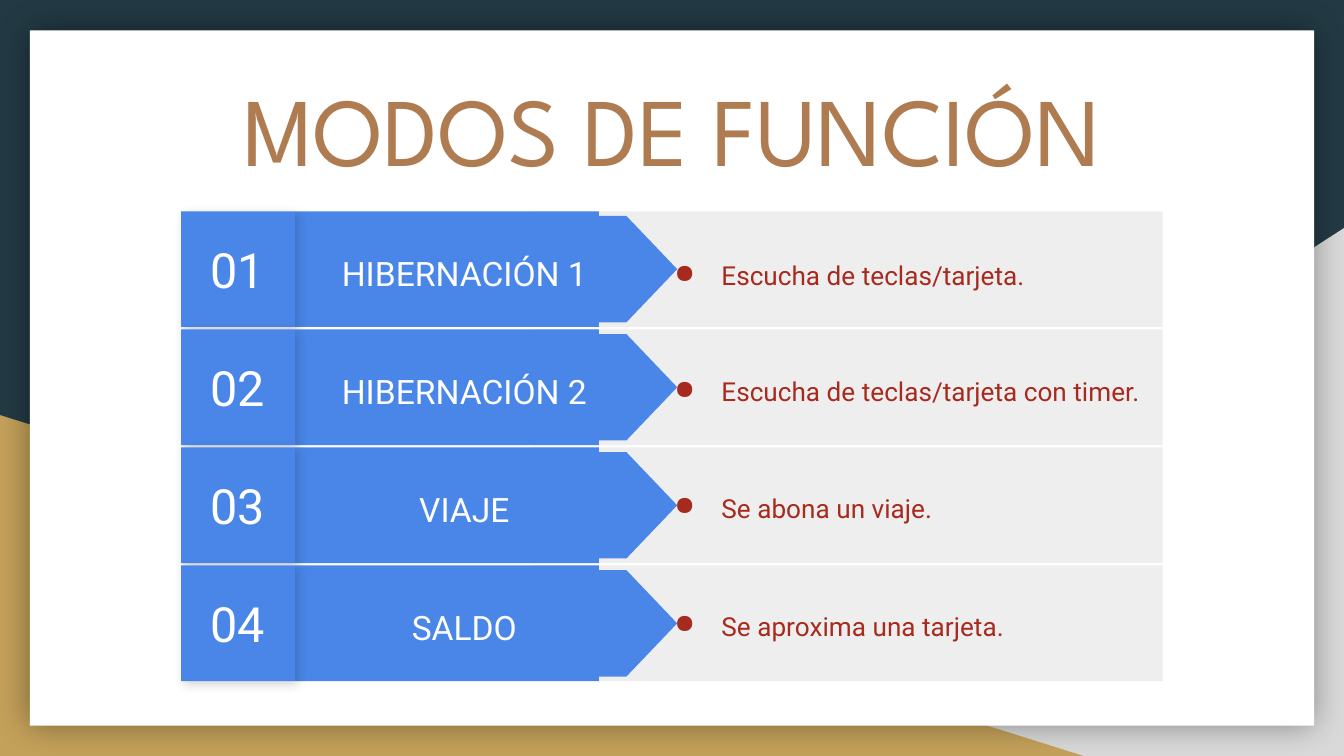
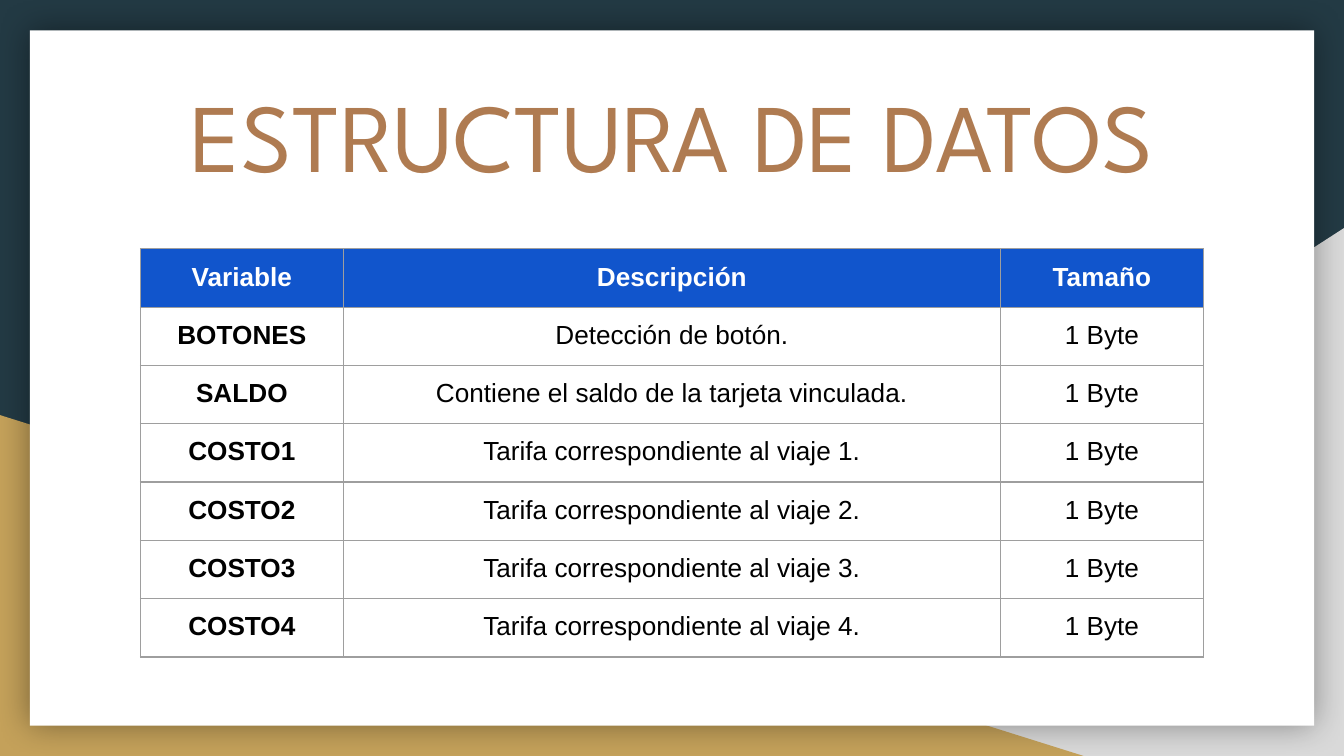
from lxml import etree
from pptx import Presentation
from pptx.dml.color import RGBColor
from pptx.enum.shapes import MSO_SHAPE
from pptx.enum.text import MSO_ANCHOR, PP_ALIGN
from pptx.oxml import parse_xml
from pptx.oxml.ns import nsdecls, qn
from pptx.util import Pt

RECT = MSO_SHAPE.RECTANGLE
WEDGE = MSO_SHAPE.RIGHT_TRIANGLE
ARROW = MSO_SHAPE.FLOWCHART_OFFPAGE_CONNECTOR
MIDDLE, TOP = MSO_ANCHOR.MIDDLE, MSO_ANCHOR.TOP
CENTER, LEFT = PP_ALIGN.CENTER, PP_ALIGN.LEFT

NAVY, GOLD, SILVER = "233A44", "C4A15A", "D9D9D9"
WHITE, BLACK, PALE, GREY = "FFFFFF", "000000", "EEEEEE", "9E9E9E"
BROWN, BLUE, ROYAL, RED = "AF7B51", "4A86E8", "1155CC", "A72A1E"
PAD = Pt(7.2)

color = RGBColor.from_string


def block(shapes, kind, box, fill, shade=None):
    """Add a borderless shape; shade is (opacity %, blur, distance, angle)."""
    shape = shapes.add_shape(kind, *map(Pt, box))
    shape.fill.solid()
    shape.fill.fore_color.rgb = color(fill)
    shape.line.fill.background()
    shape.shadow.inherit = False
    if shade:
        alpha, blur, dist, angle = shade
        shape._element.spPr.find(qn("a:effectLst")).append(parse_xml(
            f'<a:outerShdw {nsdecls("a")} blurRad="{Pt(blur)}" dist="{Pt(dist)}" '
            f'dir="{angle * 60000}" algn="bl" rotWithShape="0"><a:srgbClr val="{BLACK}">'
            f'<a:alpha val="{alpha * 1000}"/></a:srgbClr></a:outerShdw>'))
    return shape


def write(frame, text, size, font, tint, align=CENTER, anchor=MIDDLE, bold=False, space=1.0):
    """Fill a text frame with one paragraph and return it."""
    margins = dict.fromkeys(("margin_left", "margin_top", "margin_right", "margin_bottom"), PAD)
    for name, value in {**margins, "word_wrap": True, "vertical_anchor": anchor}.items():
        setattr(frame, name, value)
    para = frame.paragraphs[0]
    para.alignment = align
    para.line_spacing = space
    run = para.add_run()
    run.text = text
    for name, value in {"size": Pt(size), "name": font, "bold": bold}.items():
        setattr(run.font, name, value)
    run.font.color.rgb = color(tint)
    return para


deck = Presentation()
deck.slide_width, deck.slide_height = Pt(720), Pt(405)

# Shared frame and title
titles = [
    ("MODOS DE FUNCIÓN", (64.5, 30.2, 591, 75)),
    ("ESTRUCTURA DE DATOS", (42.5, 33.1, 635, 75)),
]
for title, box in titles:
    slide = deck.slides.add_slide(deck.slide_layouts[6])
    slide.background.fill.solid()
    slide.background.fill.fore_color.rgb = color(NAVY)
    wedge = block(slide.shapes, WEDGE, (282, 122.2, 438, 282.8), SILVER)
    wedge._element.spPr.xfrm.set("flipH", "1")
    block(slide.shapes, WEDGE, (0, 222.4, 580.5, 182.6), GOLD)
    block(slide.shapes, RECT, (16, 16.2, 688, 372.5), WHITE, (40, 18, 0, 0))
    head = slide.shapes.add_textbox(*map(Pt, box))
    write(head.text_frame, title, 52, "League Spartan", BROWN, anchor=TOP)

modes_slide, data_slide = deck.slides

# Modes: name, description, drop of the description box, extra space below it
modes = [
    ("HIBERNACIÓN 1", "Escucha de teclas/tarjeta.", 7, 10),
    ("HIBERNACIÓN 2", "Escucha de teclas/tarjeta con timer.", 6.5, 11),
    ("VIAJE", "Se abona un viaje.", 0, 0),
    ("SALDO", "Se aproxima una tarjeta.", 0, 0),
]
STEP, HIGH = 63.25, 62
for i, (name, about, drop, extra) in enumerate(modes):
    top = 113.2 + i * STEP
    mid = top + HIGH / 2
    shapes = modes_slide.shapes.add_group_shape().shapes
    block(shapes, RECT, (285.8, top, 337, HIGH), PALE)
    block(shapes, RECT, (158, top, 162.8, HIGH), BLUE)
    arrow = block(shapes, ARROW, (266.3, mid - 68, 57, 136), BLUE)
    arrow.rotation = 270
    label = block(shapes, RECT, (163.2, top + 7.6, 171.2, 47.5), BLUE)
    write(label.text_frame, name, 18, "Roboto", WHITE, space=1.15)
    badge = block(shapes, RECT, (97, top, 61, HIGH), BLUE, (17, 5.6, 2.2, 45))
    write(badge.text_frame, f"{i + 1:02}", 26, "Roboto", WHITE)

    note = shapes.add_textbox(*map(Pt, (343.4, top + drop, 279, HIGH)))
    para = write(note.text_frame, about, 14, "Roboto", RED, LEFT, space=1.15)
    note.text_frame.margin_bottom = PAD + Pt(extra)
    props = para._p.get_or_add_pPr()
    props.set("marL", str(Pt(36)))
    props.set("indent", str(Pt(-25.2)))
    tint = etree.SubElement(props, qn("a:buClr"))
    etree.SubElement(tint, qn("a:srgbClr"), val=RED)
    etree.SubElement(props, qn("a:buChar"), char="●")

# Data table
rows = [
    ("Variable", "Descripción", "Tamaño"),
    ("BOTONES", "Detección de botón.", "1 Byte"),
    ("SALDO", "Contiene el saldo de la tarjeta vinculada.", "1 Byte"),
]
rows += [(f"COSTO{n}", f"Tarifa correspondiente al viaje {n}.", "1 Byte") for n in range(1, 5)]
widths = (108.8, 176, 176, 108.8)
ROW = 30.1
grid = data_slide.shapes.add_table(
    len(rows), len(widths), *map(Pt, (75.2, 133.3, sum(widths), ROW * len(rows)))).table
grid.first_row = grid.horz_banding = False
for col, width in zip(grid.columns, widths):
    col.width = Pt(width)
for r, row in enumerate(rows):
    grid.rows[r].height = Pt(ROW)
    for c in range(len(widths)):
        cell = grid.cell(r, c)
        if r == 0:
            cell.fill.solid()
            cell.fill.fore_color.rgb = color(ROYAL)
        else:
            cell.fill.background()
        for k, side in enumerate(("lnL", "lnR", "lnT", "lnB")):
            cell._tc.get_or_add_tcPr().insert(k, parse_xml(
                f'<a:{side} {nsdecls("a")} w="{Pt(0.75)}"><a:solidFill>'
                f'<a:srgbClr val="{GREY}"/></a:solidFill></a:{side}>'))
    grid.cell(r, 1).merge(grid.cell(r, 2))
    for c, text in zip((0, 1, 3), row):
        cell = grid.cell(r, c)
        write(cell.text_frame, text, 14, "Arial", WHITE if r == 0 else BLACK,
              anchor=TOP, bold=r == 0 or c == 0)
        for side in ("left", "top", "right", "bottom"):
            setattr(cell, f"margin_{side}", PAD)

deck.save("out.pptx")
